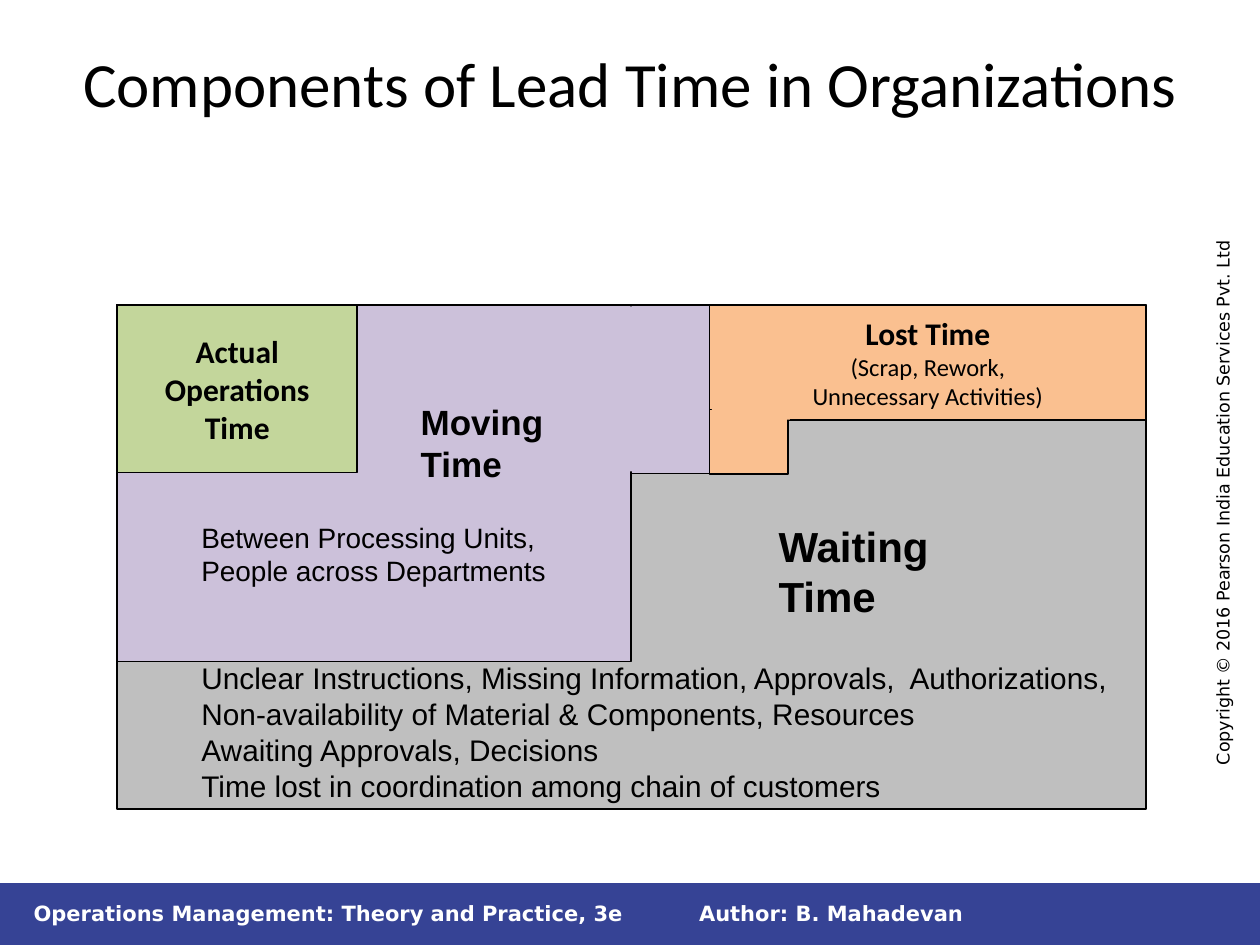
from pptx import Presentation
from pptx.dml.color import RGBColor
from pptx.enum.shapes import MSO_SHAPE
from pptx.enum.text import MSO_ANCHOR, PP_ALIGN
from pptx.util import Pt

RECTANGLE = MSO_SHAPE.RECTANGLE
TOP, MIDDLE = MSO_ANCHOR.TOP, MSO_ANCHOR.MIDDLE
LEFT, CENTER = PP_ALIGN.LEFT, PP_ALIGN.CENTER

BLACK, WHITE, NAVY = "000000", "FFFFFF", "364395"
GRAY, PURPLE, GREEN, ORANGE = "BFBFBF", "CCC1DA", "C3D69B", "FAC090"
CHART_LEFT, CHART_TOP = 67, 174.2
MOVING_RIGHT, LOST_LEFT, CHART_RIGHT = 360.7, 405.4, 655

BLOCKS = {
    "waiting": (CHART_LEFT, CHART_TOP, CHART_RIGHT - CHART_LEFT, 288, GRAY, True),
    "moving": (CHART_LEFT, CHART_TOP, MOVING_RIGHT - CHART_LEFT, 203.8, PURPLE, True),
    "operations": (CHART_LEFT, CHART_TOP, 137.2, 95.8, GREEN, True),
    "lost": (LOST_LEFT, CHART_TOP, CHART_RIGHT - LOST_LEFT, 66, ORANGE, True),
    "moving extension": (MOVING_RIGHT, CHART_TOP, LOST_LEFT - MOVING_RIGHT, 96.5, PURPLE, True),
    "moving seam": (340.6, 175, 30.2, 94.3, PURPLE, False),
    "lost extension": (LOST_LEFT, 234, 44.7, 36.8, ORANGE, True),
    "lost seam": (406.8, 218.2, 44.6, 21.6, ORANGE, False),
}

BLOCK_TEXTS = {
    "operations": [("Actual Operations", 18, True), ("Time", 18, True)],
    "lost": [
        ("Lost Time", 18, True),
        ("(Scrap, Rework,", 14, False),
        ("Unnecessary Activities)", 14, False),
    ],
}

LABELS = [
    ((233.3, 225.4, 123.8, 31.7), [("Moving Time", 20, True)]),
    ((108, 293.8, 218.2, 46), [("Between Processing Units, People across Departments", 16, False)]),
    ((437.8, 293.8, 147.6, 36), [("Waiting Time", 24, True)]),
    ((108, 373.7, 534.2, 90), [
        ("Unclear Instructions, Missing Information, Approvals,  Authorizations,", 17, False),
        ("Non-availability of Material & Components, Resources", 17, False),
        ("Awaiting Approvals, Decisions", 17, False),
        ("Time lost in coordination among chain of customers", 17, False),
    ]),
]

TITLE = [("Components of Lead Time in Organizations", 36, False)]
FOOTERS = [
    ((392.4, 511.2, 336.2, 21.6), [("Author: B. Mahadevan", 12, True)]),
    ((12.2, 511.2, 360, 21.6), [("Operations Management: Theory and Practice, 3e", 12, True)]),
]
COPYRIGHT = [("Copyright © 2016 Pearson India Education Services Pvt. Ltd", 10, False)]


def rgb(value):
    return RGBColor.from_string(value)


def write_text(shape, lines, font="Arial", color=BLACK, align=LEFT, anchor=TOP):
    frame = shape.text_frame
    frame.word_wrap = True
    frame.vertical_anchor = anchor
    for index, (text, size, bold) in enumerate(lines):
        paragraph = frame.add_paragraph() if index else frame.paragraphs[0]
        paragraph.alignment = align
        run = paragraph.add_run()
        run.text = text
        run.font.name = font
        run.font.size = Pt(size)
        run.font.bold = bold
        run.font.color.rgb = rgb(color)


def add_label(slide, box, lines, **text_format):
    label = slide.shapes.add_textbox(*map(Pt, box))
    write_text(label, lines, **text_format)
    return label


def add_block(slide, left, top, width, height, fill, outlined):
    block = slide.shapes.add_shape(RECTANGLE, Pt(left), Pt(top), Pt(width), Pt(height))
    block.shadow.inherit = False
    block.fill.solid()
    block.fill.fore_color.rgb = rgb(fill)
    if outlined:
        block.line.color.rgb = rgb(BLACK)
        block.line.width = Pt(1)
    else:
        block.line.fill.background()
    return block


def main():
    presentation = Presentation()
    presentation.slide_width, presentation.slide_height = Pt(720), Pt(540)
    slide = presentation.slides.add_slide(presentation.slide_layouts[6])

    add_block(slide, 0, 504.6, 720, 35.4, NAVY, False)
    for box, lines in FOOTERS:
        add_label(slide, box, lines, font="DejaVu Sans", color=WHITE, anchor=MIDDLE)
    notice = add_label(slide, (536.4, 272.2, 324.7, 19.4), COPYRIGHT, font="DejaVu Sans")
    notice.rotation = 270
    add_label(slide, (36, 21.6, 648, 90), TITLE, font="Calibri", align=CENTER)

    for name, geometry in BLOCKS.items():
        block = add_block(slide, *geometry)
        if name in BLOCK_TEXTS:
            write_text(block, BLOCK_TEXTS[name], font="Calibri", align=CENTER, anchor=MIDDLE)
    for box, lines in LABELS:
        add_label(slide, box, lines)

    presentation.save("out.pptx")


if __name__ == "__main__":
    main()
